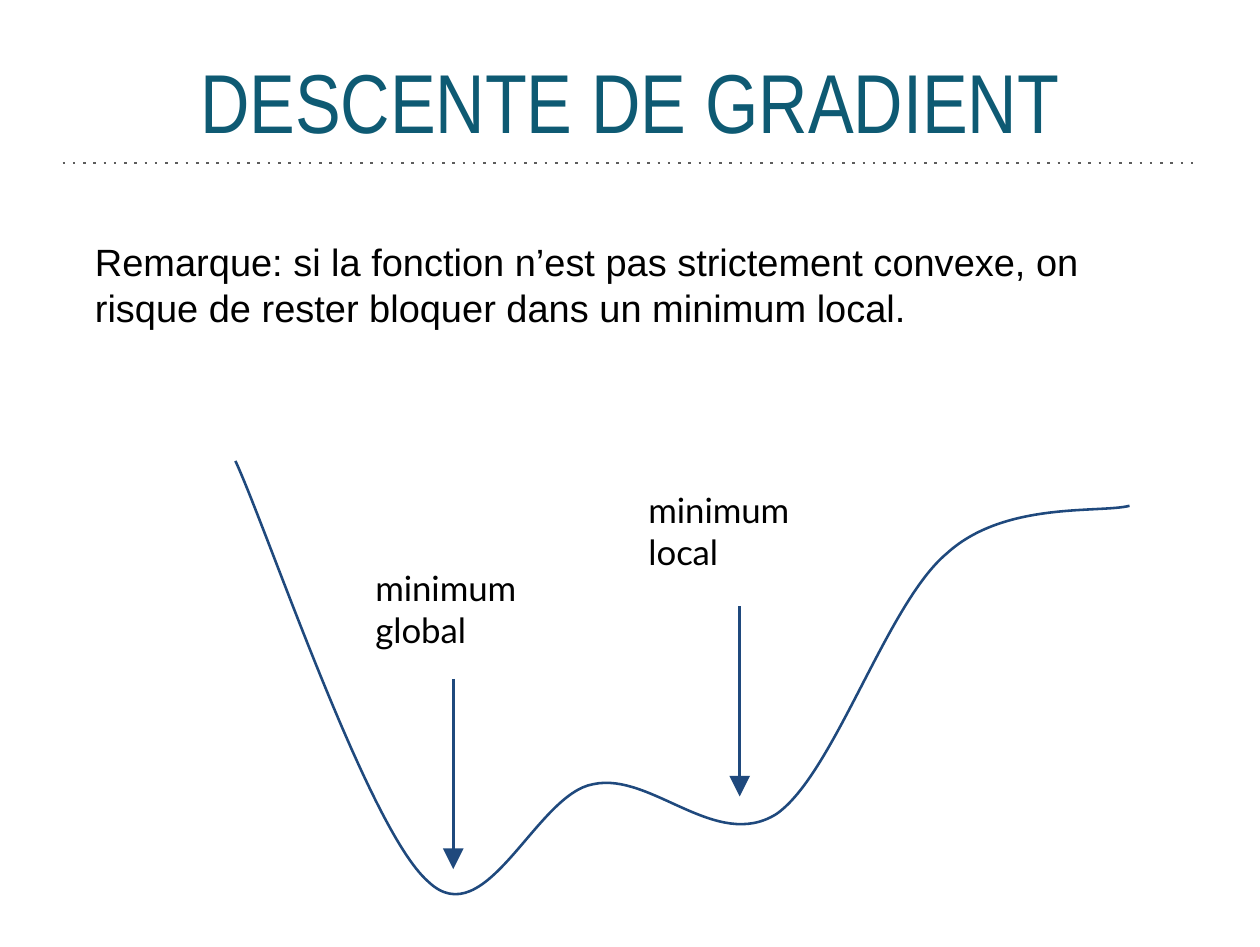
from itertools import chain
from lxml.etree import SubElement
from pptx import Presentation
from pptx.dml.color import RGBColor
from pptx.enum.shapes import MSO_CONNECTOR
from pptx.enum.text import MSO_ANCHOR, PP_ALIGN
from pptx.oxml.ns import qn
from pptx.util import Pt

TEAL = RGBColor(0x0E, 0x5A, 0x73)
GREY = RGBColor(0x5C, 0x5C, 0x5C)
NAVY = RGBColor(0x1F, 0x49, 0x7D)
BLACK = RGBColor(0, 0, 0)

COST_START = (67.7, 132.5)
COST_CURVES = [
    [(77, 152.6), (105.8, 238.3), (123.1, 253.4)],
    [(139.7, 269.3), (154.1, 228.2), (170.6, 225.4)],
    [(187.2, 221.8), (205.9, 244.8), (223.2, 234)],
    [(239.8, 222.5), (254.9, 173.5), (272.2, 159.1)],
    [(288.7, 144), (316.1, 147.6), (324.7, 145.4)],
]
COST_HEIGHT = 125.3
MINIMA = [
    ("minimum global", (100.8, 160.6), (130.3, 195.1)),
    ("minimum local", (179.3, 138.2), (212.6, 174.2)),
]
LABEL_SIZE = (65.5, 28.8)
ARROW_LENGTH = 54.7


class SlideBuilder:
    inset = 7.2
    line_width = 0.75

    def __init__(self, slide):
        self.s = slide

    def text(self, text, x, y, w, h, font, size, color=BLACK,
             align=PP_ALIGN.LEFT, bottom=inset):
        sp = self.s.shapes.add_textbox(Pt(x), Pt(y), Pt(w), Pt(h))
        tf = sp.text_frame
        tf.word_wrap = True
        tf.vertical_anchor = MSO_ANCHOR.MIDDLE
        tf.margin_left = tf.margin_top = tf.margin_right = Pt(self.inset)
        tf.margin_bottom = Pt(bottom)
        p = tf.paragraphs[0]
        p.text = text
        p.alignment = align
        p.font.name = font
        p.font.size = Pt(size)
        p.font.color.rgb = color

    def line(self, x1, y1, x2, y2, color, dash=None, arrow=None):
        cx = self.s.shapes.add_connector(
            MSO_CONNECTOR.STRAIGHT, Pt(x1), Pt(y1), Pt(x2), Pt(y2))
        self.stroke(cx, color)
        properties = cx._element.spPr
        ln = properties.find(qn("a:ln"))
        if dash:
            SubElement(ln, qn("a:prstDash"), val=dash)
        if arrow:
            SubElement(ln, qn("a:tailEnd"), type=arrow)
        SubElement(properties, qn("a:effectLst"))

    def curve(self, start, curves, height, color):
        points = [(Pt(x), Pt(y)) for x, y in chain.from_iterable(curves)]
        builder = self.s.shapes.build_freeform(Pt(start[0]), Pt(start[1]))
        builder.add_line_segments(points, close=False)
        sp = builder.convert_to_shape()
        sp.height = Pt(height)
        outline = next(sp._element.iter(qn("a:path")))
        outline.set("h", str(Pt(height)))
        segments = outline.findall(qn("a:lnTo"))
        for i in range(0, len(segments), 3):
            bezier = SubElement(outline, qn("a:cubicBezTo"))
            for segment in segments[i:i + 3]:
                bezier.append(segment[0])
                outline.remove(segment)
        sp.fill.background()
        sp.shadow.inherit = False
        self.stroke(sp, color)

    def stroke(self, shape, color):
        shape.line.color.rgb = color
        shape.line.width = Pt(self.line_width)


def main():
    prs = Presentation()
    prs.slide_width = Pt(362.16)
    prs.slide_height = Pt(272.16)
    s = SlideBuilder(prs.slides.add_slide(prs.slide_layouts[6]))

    s.line(18, 46.8, 344.2, 46.8, GREY, dash="dot")
    s.text("DESCENTE DE GRADIENT", 19.4, 0, 323.3, 57.6,
           "Arial Narrow", 24, TEAL, PP_ALIGN.CENTER)
    s.text("Remarque: si la fonction n’est pas strictement convexe, on risque "
           "de rester bloquer dans un minimum local.",
           20.2, 51.8, 321.8, 85, "Arial", 10.9, bottom=32.4)
    s.curve(COST_START, COST_CURVES, COST_HEIGHT, NAVY)
    for label, corner, (x, y) in MINIMA:
        s.line(x, y, x, y + ARROW_LENGTH, NAVY, arrow="triangle")
        s.text(label, *corner, *LABEL_SIZE, "Lato", 10)

    prs.save("out.pptx")


if __name__ == "__main__":
    main()
